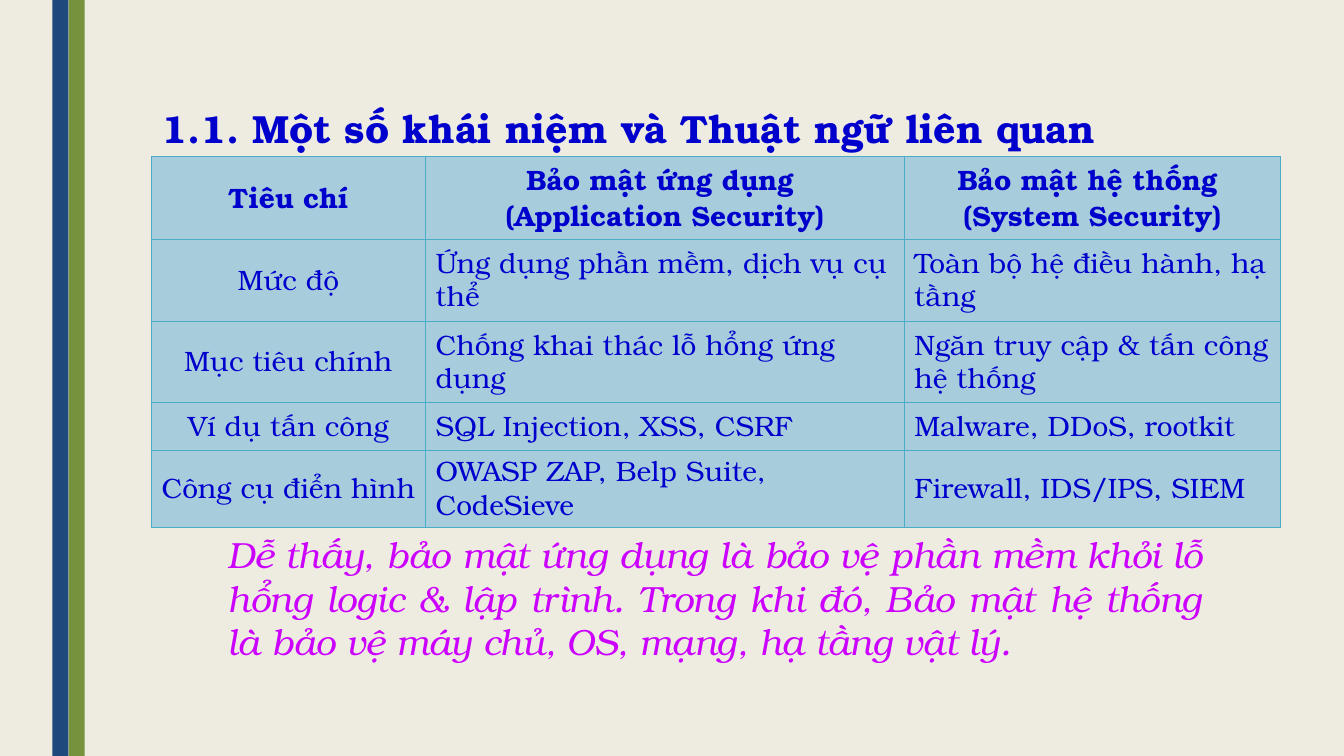
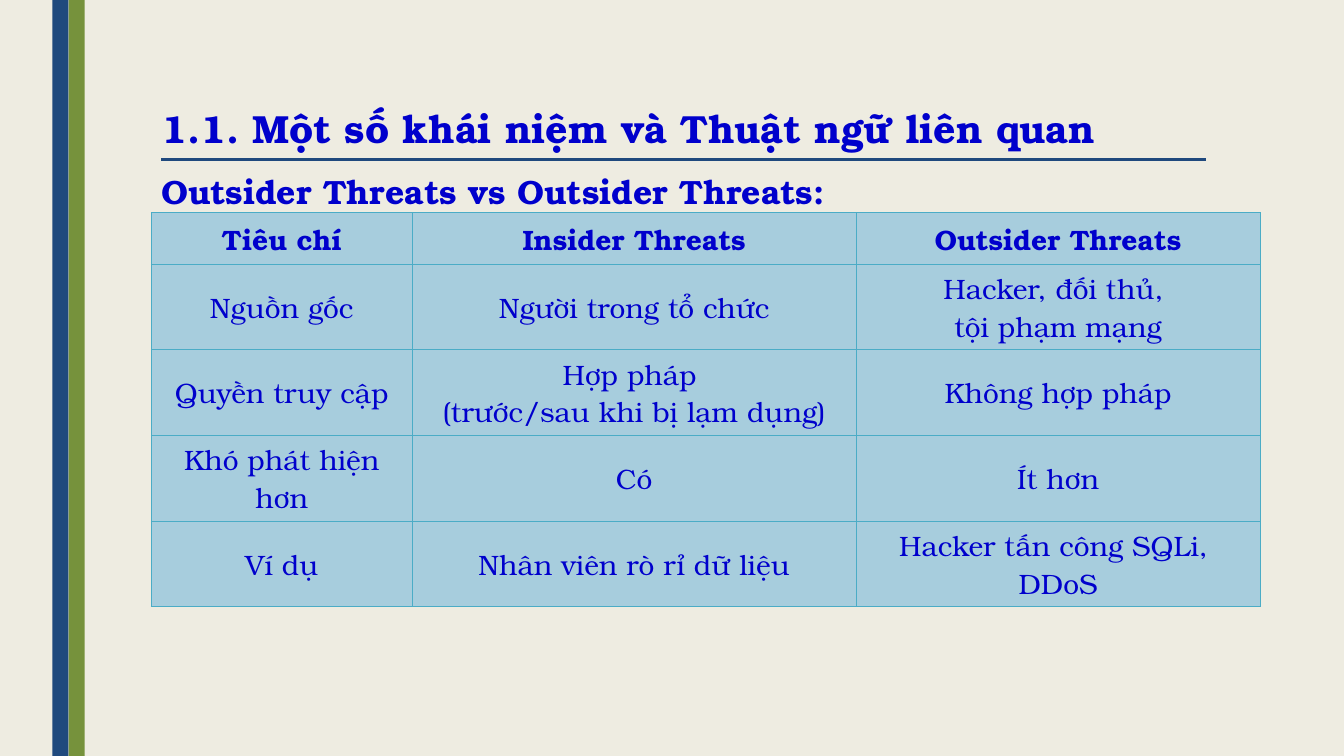
from dataclasses import dataclass

from lxml.etree import SubElement
from pptx import Presentation
from pptx.dml.color import RGBColor as RGB
from pptx.enum.shapes import MSO_CONNECTOR as Link, MSO_SHAPE as Form
from pptx.enum.text import MSO_ANCHOR as Anchor, MSO_AUTO_SIZE as Fit, PP_ALIGN as Align
from pptx.oxml import parse_xml
from pptx.oxml.ns import nsdecls, qn
from pptx.util import Inches, Pt


@dataclass(frozen=True)
class Theme:
    face: str = "TeX Gyre Bonum"
    paper: RGB = RGB.from_string("EEECE1")
    navy: RGB = RGB.from_string("1F497D")
    green: RGB = RGB.from_string("76923C")
    ink: RGB = RGB.from_string("0000CC")
    pink: RGB = RGB.from_string("CC00FF")
    cell: RGB = RGB.from_string("A7CDDD")
    edge: str = "4BACC6"
    title: Pt = Pt(28)
    note: Pt = Pt(26)
    lead: Pt = Pt(24)
    grid: Pt = Pt(20)


look = Theme()


def style(frame, size, color, font={}, para={}):
    for item in frame.paragraphs:
        for key, val in para.items():
            setattr(item, key, val)
        for key, val in {"name": look.face, "size": size, **font}.items():
            setattr(item.font, key, val)
        item.font.color.rgb = color


def place(shape, left, top, width, height):
    shape.left, shape.top = Inches(left), Inches(top)
    shape.width, shape.height = Inches(width), Inches(height)


pages = [
    {
        "lead": None,
        "note": "Dễ thấy, bảo mật ứng dụng là bảo vệ phần mềm khỏi lỗ hổng logic & lập trình. "
                "Trong khi đó, Bảo mật hệ thống là bảo vệ máy chủ, OS, mạng, hạ tầng vật lý.",
        "top": 1.55,
        "cols": [2.72, 4.75, 3.73],
        "rows": [0.81, 0.81, 0.81, 0.47, 0.47],
        "align": Align.LEFT,
        "gap": 0.89,
        "cells": [
            ["Tiêu chí", "Bảo mật ứng dụng \n(Application Security)",
             "Bảo mật hệ thống \n(System Security)"],
            ["Mức độ", "Ứng dụng phần mềm, dịch vụ cụ thể", "Toàn bộ hệ điều hành, hạ tầng"],
            ["Mục tiêu chính", "Chống khai thác lỗ hổng ứng dụng",
             "Ngăn truy cập & tấn công hệ thống"],
            ["Ví dụ tấn công", "SQL Injection, XSS, CSRF", "Malware, DDoS, rootkit"],
            ["Công cụ điển hình", "OWASP ZAP, Belp Suite, CodeSieve", "Firewall, IDS/IPS, SIEM"],
        ],
    },
    {
        "lead": "Outsider Threats vs Outsider Threats:",
        "note": None,
        "top": 2.11,
        "cols": [2.59, 4.4, 4.01],
        "rows": [0.51] + [0.85] * 4,
        "align": Align.CENTER,
        "gap": 1.0,
        "cells": [
            ["Tiêu chí", "Insider Threats", "Outsider Threats"],
            ["Nguồn gốc", "Người trong tổ chức", "Hacker, đối thủ, \ntội phạm mạng"],
            ["Quyền truy cập", "Hợp pháp \n(trước/sau khi bị lạm dụng)", "Không hợp pháp"],
            ["Khó phát hiện hơn", "Có", "Ít hơn"],
            ["Ví dụ", "Nhân viên rò rỉ dữ liệu", "Hacker tấn công SQLi, \nDDoS"],
        ],
    },
]

deck = Presentation()
deck.slide_width, deck.slide_height = Inches(13.33), Inches(7.5)
main = deck.slide_master
main.background.fill.solid()
main.background.fill.fore_color.rgb = look.paper
slides = [deck.slides.add_slide(deck.slide_layouts[1 if page["lead"] else 5]) for page in pages]

shapes = slides[0].shapes
marks = []
for left, color in [(0.68, look.green), (0.52, look.navy)]:
    band = shapes.add_shape(Form.RECTANGLE, Inches(left), 0, Inches(0.16), Inches(7.5))
    band.shadow.inherit = False
    band.fill.solid()
    band.fill.fore_color.rgb = color
    band.line.fill.background()
    marks.append(band)
rule = shapes.add_connector(Link.STRAIGHT, Inches(1.6), Inches(1.58), Inches(11.96), Inches(1.58))
rule.line.color.rgb, rule.line.width = look.navy, Pt(2.25)
SubElement(rule.element.spPr, qn("a:effectLst"))
marks.append(rule)
for i, mark in enumerate(marks):
    mark.element.xpath("./*/p:cNvPr")[0].set("id", str(50 + i))
    main.shapes.element.insert(2 + i, mark.element)

for page, slide in zip(pages, slides):
    head = slide.shapes.title
    place(head, 1.5, 0.99, 11.2, 0.57)
    head.text = "1.1. Một số khái niệm và Thuật ngữ liên quan"
    frame = head.text_frame
    frame.auto_size, frame.vertical_anchor = Fit.NONE, Anchor.BOTTOM
    style(frame, look.title, look.ink, {"bold": True},
          {"alignment": Align.LEFT, "line_spacing": 0.89})

    if page["lead"]:
        body = slide.placeholders[1]
        place(body, 1.5, 1.68, 11.2, 4.79)
        body.text = page["lead"]
        frame = body.text_frame
        frame.auto_size, frame.vertical_anchor = Fit.NONE, Anchor.TOP
        props = frame.paragraphs[0]._p.get_or_add_pPr()
        props.set("marL", "0")
        props.set("indent", "0")
        SubElement(props, qn("a:buNone"))
        style(frame, look.lead, look.ink, {"bold": True},
              {"line_spacing": 0.94, "space_before": Pt(0)})

    cells, cols, rows = page["cells"], page["cols"], page["rows"]
    table = slide.shapes.add_table(
        len(rows), len(cols), Inches(1.5), Inches(page["top"]),
        Inches(sum(cols)), Inches(sum(rows))).table
    table.first_row = table.horz_banding = False
    for col, width in zip(table.columns, cols):
        col.width = Inches(width)
    for row, height in zip(table.rows, rows):
        row.height = Inches(height)
    for r, line in enumerate(cells):
        for c, text in enumerate(line):
            cell = table.cell(r, c)
            cell.text = text
            cell.vertical_anchor = Anchor.MIDDLE
            cell.fill.solid()
            cell.fill.fore_color.rgb = look.cell
            props = cell._tc.get_or_add_tcPr()
            for i, side in enumerate("LRTB"):
                props.insert(i, parse_xml(
                    f'<a:ln{side} {nsdecls("a")} w="6350"><a:solidFill>'
                    f'<a:srgbClr val="{look.edge}"/></a:solidFill></a:ln{side}>'))
            style(cell.text_frame, look.grid, look.ink, {"bold": r == 0},
                  {"alignment": page["align"] if r and c else Align.CENTER,
                   "line_spacing": page["gap"]})

    if page["note"]:
        note = slide.shapes.add_textbox(Inches(2.16), Inches(5.23), Inches(9.88), Inches(1.41))
        frame = note.text_frame
        frame.word_wrap = True
        frame.text = page["note"]
        style(frame, look.note, look.pink, {"italic": True}, {"alignment": Align.JUSTIFY})

deck.save("out.pptx")
